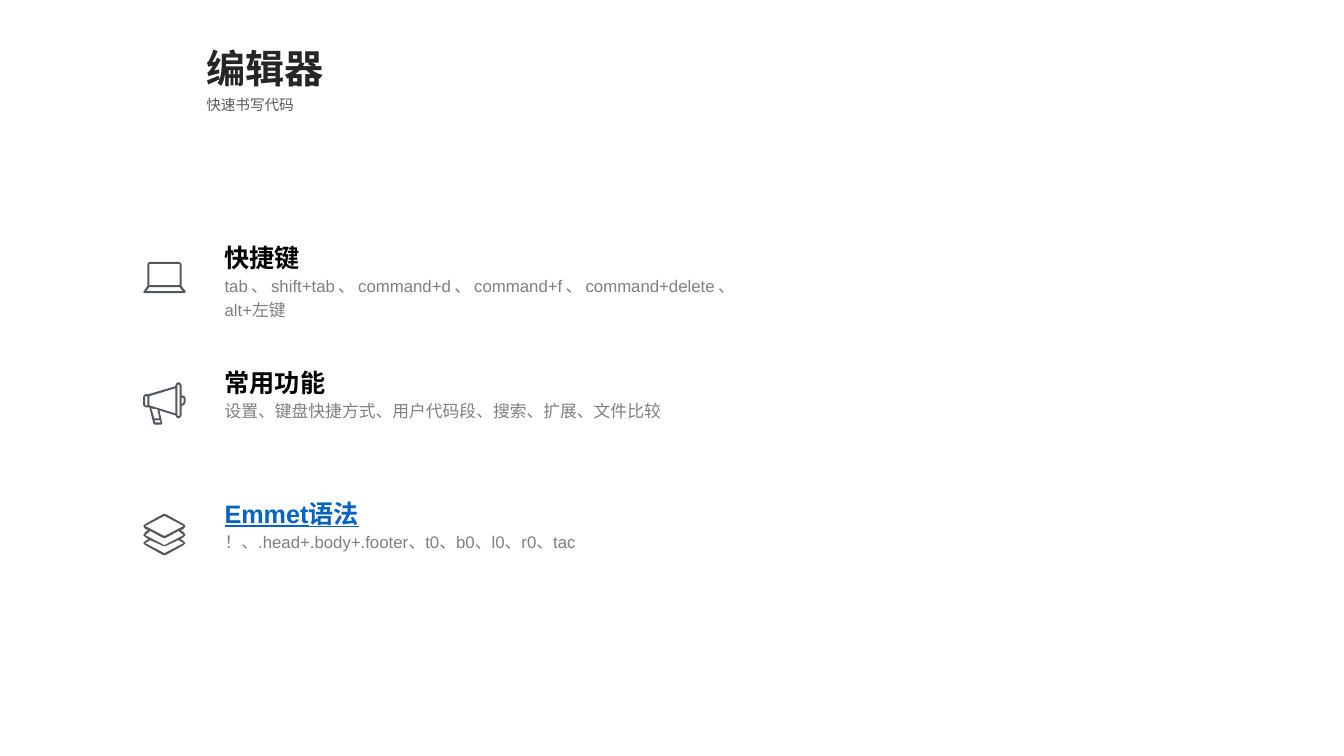
from pptx import Presentation
from pptx.dml.color import RGBColor
from pptx.enum.text import MSO_ANCHOR, PP_ALIGN
from pptx.util import Cm, Pt

COLORS = {
    "title": "262626", "subtitle": "595959", "heading": "000000",
    "body": "808080", "link": "0563C1", "icon": "53585F",
}

# Icon outlines in hundredths of an inch; the contours after the first are holes
LAPTOP = [
    [(42, 29), (38, 24), (38, 2), (36, 0), (6, 0), (4, 2), (4, 24), (0, 30),
     (1, 31), (41, 31), (42, 30)],
    [(3, 29), (6, 25), (36, 25), (39, 29)],
    [(6, 2), (36, 2), (36, 23), (6, 23)],
]
MEGAPHONE = [
    [(38, 13), (38, 3), (37, 1), (35, 0), (33, 1), (32, 3), (32, 4), (5, 12),
     (2, 12), (0, 14), (0, 23), (2, 25), (6, 25), (10, 41), (11, 42), (18, 42),
     (19, 41), (16, 28), (32, 33), (33, 35), (35, 36), (37, 35), (38, 33),
     (38, 24), (41, 22), (42, 20), (42, 16), (41, 14)],
    [(40, 20), (38, 22), (38, 15), (40, 16)],
    [(36, 33), (35, 34), (34, 33), (34, 3), (35, 2), (36, 3)],
    [(32, 31), (6, 23), (6, 14), (32, 6)],
    [(16, 36), (11, 36), (8, 26), (14, 27)],
    [(17, 40), (12, 40), (11, 38), (17, 38)],
    [(4, 23), (2, 23), (2, 14), (4, 14)],
]
LAYERS = [
    [(42, 21), (40, 18), (37, 16), (40, 15), (42, 12), (40, 10), (22, 0), (20, 0),
     (2, 10), (0, 12), (2, 15), (5, 16), (2, 18), (0, 21), (2, 23), (5, 25),
     (2, 27), (0, 29), (2, 31), (20, 41), (22, 41), (40, 31), (42, 29), (40, 27),
     (37, 25), (40, 23)],
    [(2, 12), (21, 2), (40, 12), (21, 22)],
    [(2, 21), (7, 17), (20, 24), (22, 24), (35, 17), (40, 21), (21, 31)],
    [(2, 29), (7, 26), (20, 32), (22, 32), (35, 26), (40, 29), (21, 39)],
]


def set_text(sp, box, text, size, color, font="Arial", bold=False, wrap=True):
    sp.left, sp.top, sp.width, sp.height = [Cm(v) for v in box]
    tf = sp.text_frame
    tf.word_wrap = wrap
    tf.vertical_anchor = MSO_ANCHOR.TOP
    p = tf.paragraphs[0]
    p.text = text
    p.alignment = PP_ALIGN.LEFT
    p.font.size = Pt(size)
    p.font.name = font
    p.font.bold = bold
    p.font.color.rgb = RGBColor.from_string(COLORS[color])
    return p


def add_icon(shapes, contours, left, top):
    fb = shapes.build_freeform(*contours[0][0], scale=Cm(2.54) / 100)
    fb.add_line_segments(contours[0][1:])
    for hole in contours[1:]:
        fb.move_to(*hole[0])
        fb.add_line_segments(hole[1:])
    sp = fb.convert_to_shape(Cm(left), Cm(top))
    sp.shadow.inherit = False
    sp.fill.solid()
    sp.fill.fore_color.rgb = RGBColor.from_string(COLORS["icon"])
    sp.line.fill.background()


prs = Presentation()
prs.slide_width, prs.slide_height = Cm(33.87), Cm(19.05)
slide = prs.slides.add_slide(prs.slide_layouts[5])
shapes = slide.shapes

# Title and subtitle
set_text(shapes.title, (4.95, 0.99, 3.48, 1.45), "编辑器", 28, "title",
         bold=True, wrap=False)
subtitle = shapes.add_textbox(0, 0, 0, 0)
set_text(subtitle, (4.95, 2.29, 10.46, 0.71), "快速书写代码", 10.5, "subtitle",
         font="Quicksand")

# Topics: icon, icon top, heading top, heading, heading colour, body
topics = [
    (LAPTOP, 6.6, 5.82, "快捷键", "heading",
     "tab、shift+tab、command+d、command+f、command+delete、alt+左键"),
    (MEGAPHONE, 9.63, 8.97, "常用功能", "heading",
     "设置、键盘快捷方式、用户代码段、搜索、扩展、文件比较"),
    (LAYERS, 12.95, 12.27, "Emmet语法", "link",
     "！、.head+.body+.footer、t0、b0、l0、r0、tac"),
]
for icon, icon_top, top, heading, color, body in topics:
    add_icon(shapes, icon, 3.61, icon_top)
    body_box = shapes.add_textbox(0, 0, 0, 0)
    body_p = set_text(body_box, (5.41, top + 0.9, 13.36, 0.86), body, 12, "body")
    heading_box = shapes.add_textbox(0, 0, 0, 0)
    heading_p = set_text(heading_box, (5.41, top, 5.79, 1.17), heading, 18, color,
                         bold=True)
    heading_p.font.underline = color == "link"
    for p in (body_p, heading_p):
        p.alignment = PP_ALIGN.JUSTIFY
        p.line_spacing = 1.2

prs.save("out.pptx")
